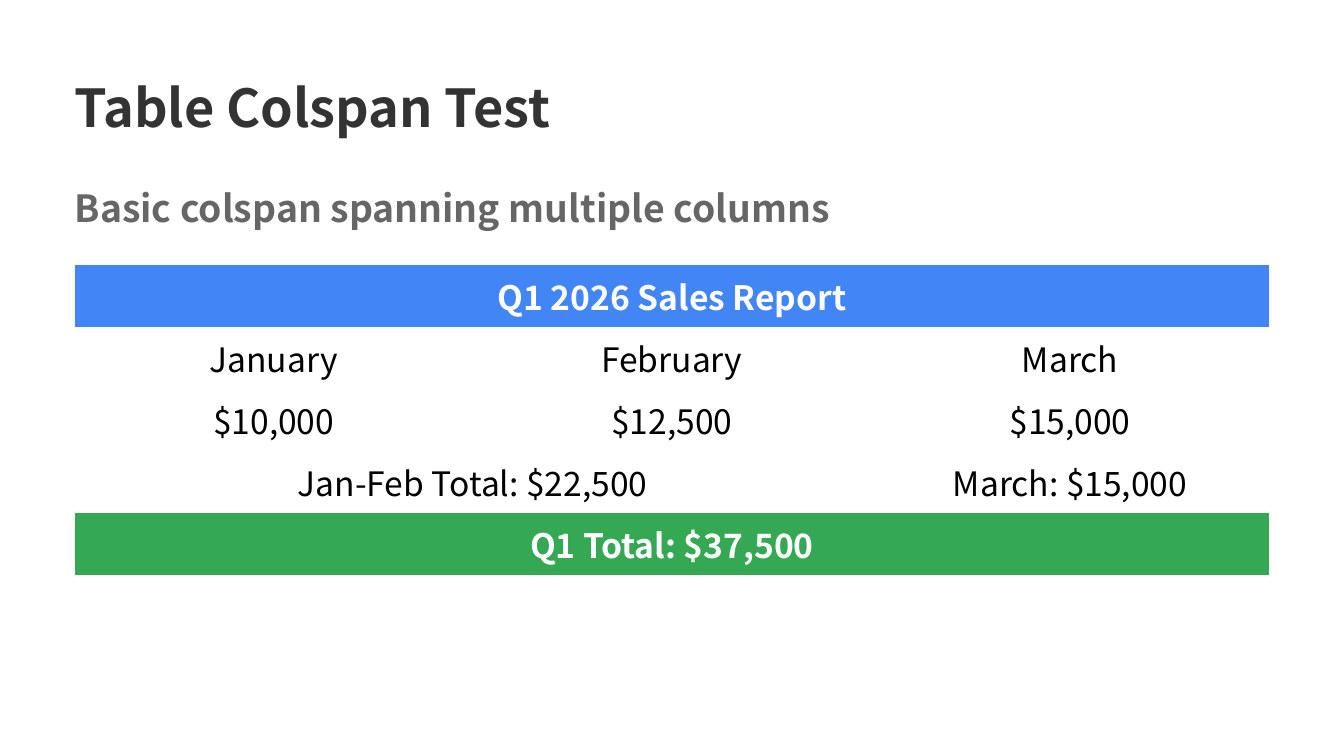
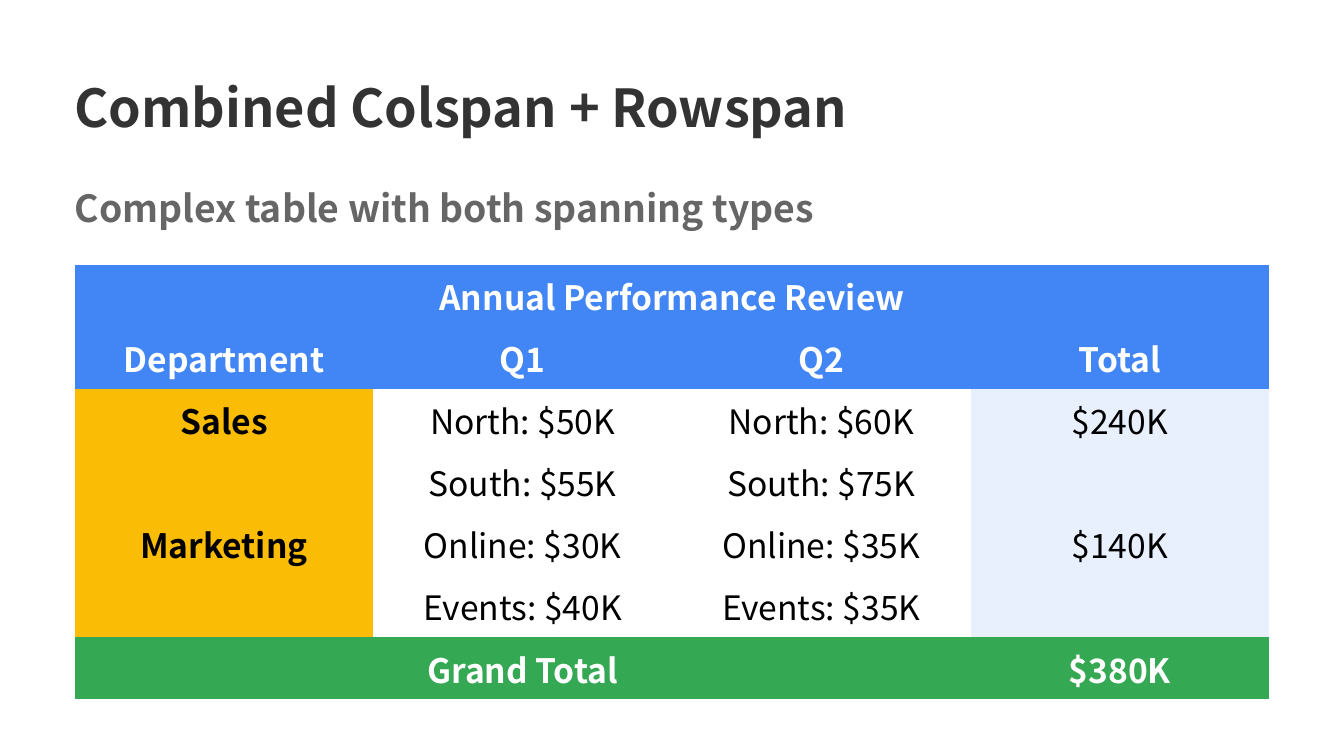
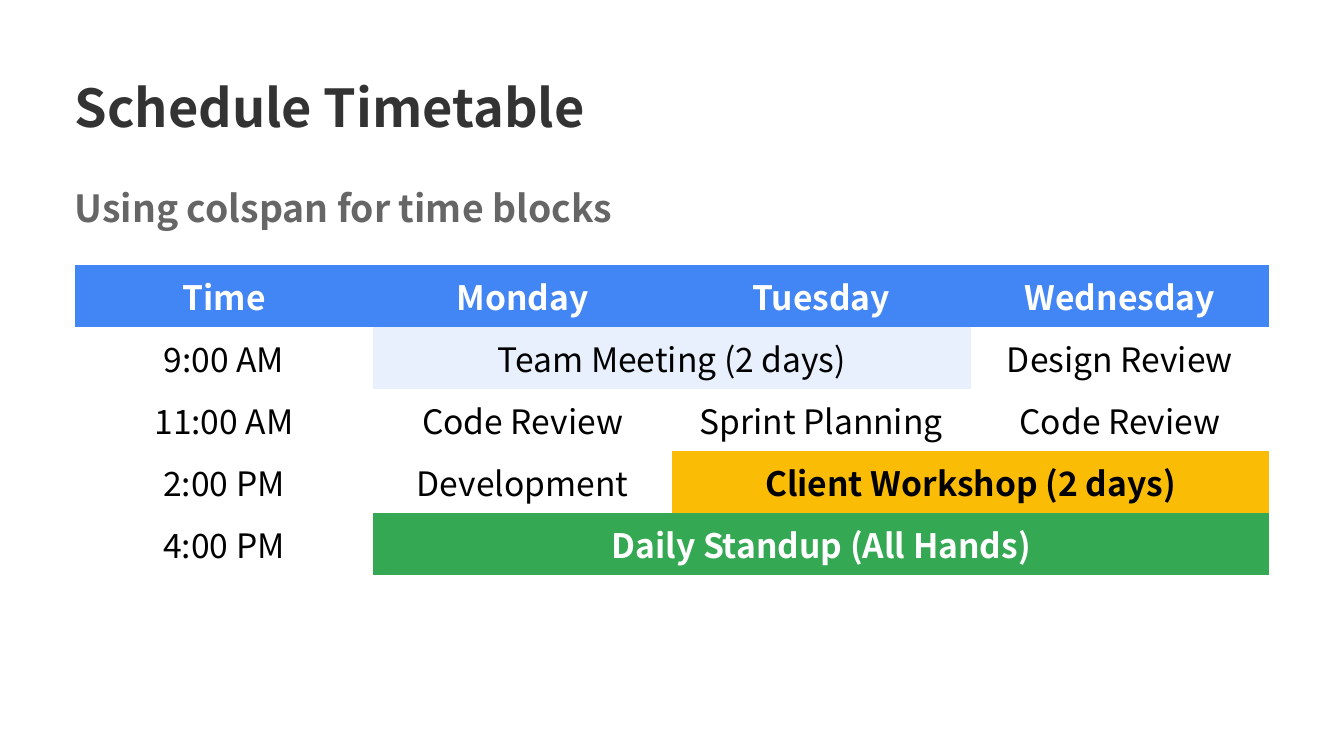
from dataclasses import dataclass, field
from typing import NamedTuple, Optional

from pptx import Presentation
from pptx.dml.color import RGBColor
from pptx.enum import text
from pptx.util import Emu, Inches, Pt


# Theme: colours, type sizes and font
@dataclass(frozen=True)
class Theme:
    font: str = "Noto Sans CJK SC"
    title_size: int = 28
    subtitle_size: int = 20
    cell_size: int = 18
    title: str = "333333"
    subtitle: str = "666666"
    dark: str = "000000"
    light: str = "FFFFFF"
    blue: str = "4285F4"
    green: str = "34A853"
    yellow: str = "FBBC05"
    pale: str = "E8F0FE"
    table_style: str = "{2D5ABB26-0587-4C30-8999-92F81FD0307C}"  # no style, no grid


THEME = Theme()

# Grid: 18 columns by 10 rows
WIDTH, HEIGHT = Inches(10), Inches(5.625)
COLUMN, ROW = WIDTH / 18, HEIGHT / 10


class Area(NamedTuple):
    left: float
    top: float
    width: float
    height: float

    def place(self) -> tuple[Emu, Emu, Emu, Emu]:
        return (Emu(round(self.left * COLUMN)), Emu(round(self.top * ROW)),
                Emu(round(self.width * COLUMN)), Emu(round(self.height * ROW)))


TITLE = Area(1, 1, 16, 1)
SUBTITLE = Area(1, 2.45, 16, 0.7)
TABLE_TOP = 3.5
FRAME_ROW = 0.69  # share of the table frame for each row
MINIMUM_ROW = 0.5  # rows grow from this to fit their text


# Table cells
class Look(NamedTuple):
    fill: Optional[str] = None
    colour: str = THEME.dark
    bold: bool = False


PLAIN = Look()
HEADER = Look(THEME.blue, THEME.light, True)
TOTAL = Look(THEME.green, THEME.light, True)
ACCENT = Look(THEME.yellow, bold=True)
SOFT = Look(THEME.pale)


class Cell(NamedTuple):
    words: str
    look: Look = PLAIN
    columns: int = 1
    rows: int = 1


@dataclass
class TableSlide:
    title: str
    subtitle: str
    columns: int
    rows: list = field(default_factory=list)


def cells(*words: str, look: Look = PLAIN) -> list[Cell]:
    return [Cell(word, look) for word in words]


# Content; None stands where a cell from the row above reaches down
SLIDES = [
    TableSlide("Table Colspan Test", "Basic colspan spanning multiple columns", 3, [
        [Cell("Q1 2026 Sales Report", HEADER, columns=3)],
        cells("January", "February", "March"),
        cells("$10,000", "$12,500", "$15,000"),
        [Cell("Jan-Feb Total: $22,500", columns=2), Cell("March: $15,000")],
        [Cell("Q1 Total: $37,500", TOTAL, columns=3)],
    ]),
    TableSlide("Combined Colspan + Rowspan", "Complex table with both spanning types", 4, [
        [Cell("Annual Performance Review", HEADER, columns=4)],
        cells("Department", "Q1", "Q2", "Total", look=HEADER),
        [Cell("Sales", ACCENT, rows=2), *cells("North: $50K", "North: $60K"),
         Cell("$240K", SOFT, rows=2)],
        [None, *cells("South: $55K", "South: $75K"), None],
        [Cell("Marketing", ACCENT, rows=2), *cells("Online: $30K", "Online: $35K"),
         Cell("$140K", SOFT, rows=2)],
        [None, *cells("Events: $40K", "Events: $35K"), None],
        [Cell("Grand Total", TOTAL, columns=3), Cell("$380K", TOTAL)],
    ]),
    TableSlide("Schedule Timetable", "Using colspan for time blocks", 4, [
        cells("Time", "Monday", "Tuesday", "Wednesday", look=HEADER),
        [Cell("9:00 AM"), Cell("Team Meeting (2 days)", SOFT, columns=2),
         Cell("Design Review")],
        cells("11:00 AM", "Code Review", "Sprint Planning", "Code Review"),
        [*cells("2:00 PM", "Development"),
         Cell("Client Workshop (2 days)", ACCENT, columns=2)],
        [Cell("4:00 PM"), Cell("Daily Standup (All Hands)", TOTAL, columns=3)],
    ]),
]


# Drawing
def write(frame, words: str, size: int, colour: str, bold: bool,
          alignment=text.PP_ALIGN.LEFT) -> None:
    paragraph = frame.paragraphs[0]
    paragraph.alignment = alignment
    run = paragraph.add_run()
    run.text = words
    run.font.name = THEME.font
    run.font.size = Pt(size)
    run.font.bold = bold
    run.font.color.rgb = RGBColor.from_string(colour)


def draw_heading(shape, area: Area, words: str, size: int, colour: str) -> None:
    shape.left, shape.top, shape.width, shape.height = area.place()
    frame = shape.text_frame
    frame.margin_left = frame.margin_top = frame.margin_right = frame.margin_bottom = 0
    frame.word_wrap = True
    frame.auto_size = text.MSO_AUTO_SIZE.NONE
    frame.vertical_anchor = text.MSO_ANCHOR.TOP
    write(frame, words, size, colour, True)


def draw_cell(table, row: int, column: int, cell: Cell) -> None:
    target = table.cell(row, column)
    if cell.columns > 1 or cell.rows > 1:
        target.merge(table.cell(row + cell.rows - 1, column + cell.columns - 1))
    if cell.look.fill:
        target.fill.solid()
        target.fill.fore_color.rgb = RGBColor.from_string(cell.look.fill)
    else:
        target.fill.background()
    write(target.text_frame, cell.words, THEME.cell_size, cell.look.colour,
          cell.look.bold, text.PP_ALIGN.CENTER)


def draw_table(slide, content: TableSlide) -> None:
    area = Area(1, TABLE_TOP, 16, FRAME_ROW * len(content.rows))
    shape = slide.shapes.add_table(len(content.rows), content.columns, *area.place())
    table = shape.table
    table.first_row = table.horz_banding = False
    table._tbl.tblPr[0].text = THEME.table_style
    for table_row in table.rows:
        table_row.height = Emu(round(MINIMUM_ROW * ROW))
    shape.height = area.place()[3]
    for row, row_cells in enumerate(content.rows):
        column = 0
        for cell in row_cells:
            if cell:
                draw_cell(table, row, column, cell)
            column += cell.columns if cell else 1


def draw_slide(presentation, content: TableSlide) -> None:
    slide = presentation.slides.add_slide(presentation.slide_layouts[5])
    draw_heading(slide.shapes.title, TITLE, content.title,
                 THEME.title_size, THEME.title)
    draw_heading(slide.shapes.add_textbox(*SUBTITLE.place()), SUBTITLE,
                 content.subtitle, THEME.subtitle_size, THEME.subtitle)
    draw_table(slide, content)


def main() -> None:
    presentation = Presentation()
    presentation.slide_width, presentation.slide_height = WIDTH, HEIGHT
    for content in SLIDES:
        draw_slide(presentation, content)
    presentation.save("out.pptx")


if __name__ == "__main__":
    main()
